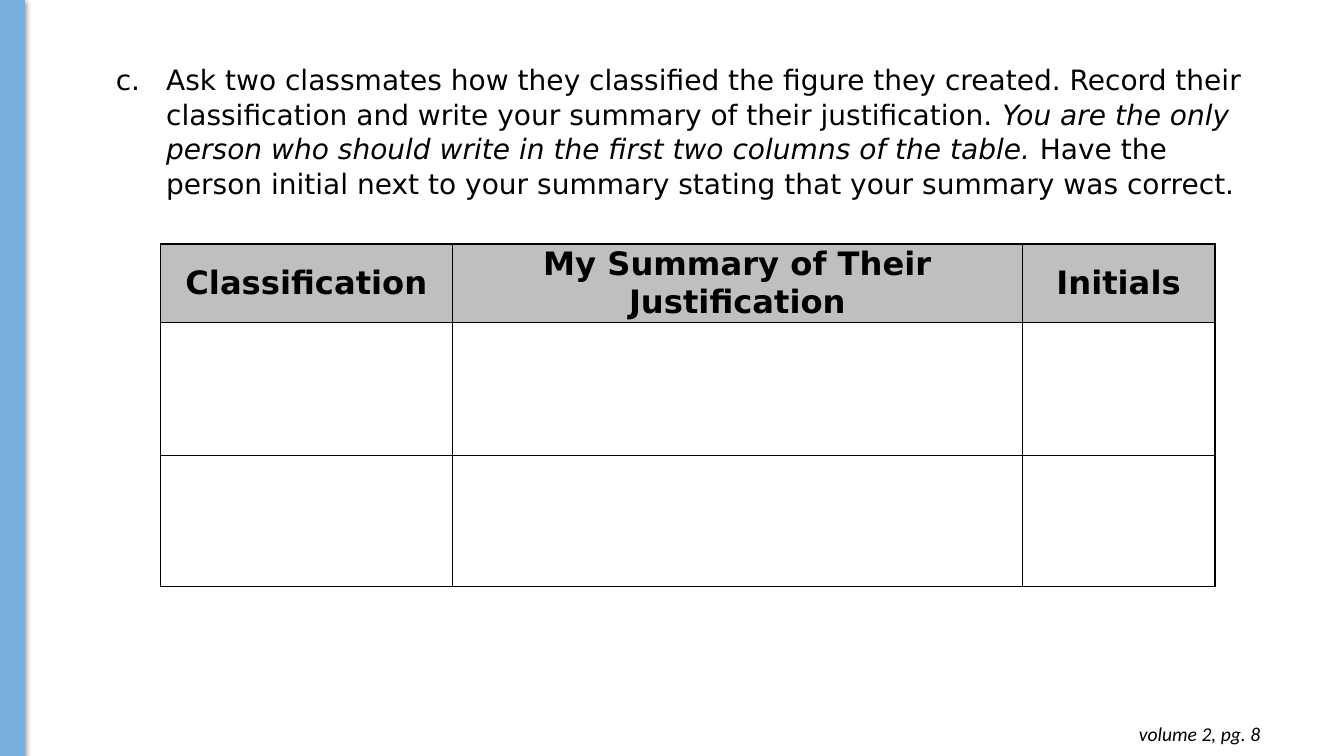
"""Build the classmate classification slide with its recording table."""
from dataclasses import dataclass

from lxml import etree
from pptx import Presentation
from pptx.dml.color import RGBColor
from pptx.enum.shapes import MSO_SHAPE
from pptx.enum.text import MSO_ANCHOR, MSO_AUTO_SIZE, PP_ALIGN
from pptx.oxml import parse_xml
from pptx.oxml.ns import nsdecls, qn
from pptx.util import Inches, Pt


@dataclass(frozen=True)
class Theme:
    blue: RGBColor = RGBColor(0x79, 0xB0, 0xDD)
    gray: RGBColor = RGBColor(0xBF, 0xBF, 0xBF)
    black: RGBColor = RGBColor(0, 0, 0)
    body_font: str = "DejaVu Sans"
    footer_font: str = "Calibri"
    body_size: Pt = Pt(20)
    header_size: Pt = Pt(23)
    footer_size: Pt = Pt(14)


theme = Theme()


def style_font(font, name, size):
    font.name = name
    font.size = size
    font.color.rgb = theme.black


def add_text_frame(slide, left, top, width, height):
    box = slide.shapes.add_textbox(Inches(left), Inches(top), Inches(width), Inches(height))
    box.text_frame.word_wrap = True
    box.text_frame.auto_size = MSO_AUTO_SIZE.SHAPE_TO_FIT_TEXT
    return box.text_frame


presentation = Presentation()
presentation.slide_width = Inches(13.33)
presentation.slide_height = Inches(7.5)
slide = presentation.slides.add_slide(presentation.slide_layouts[6])

side_bar = slide.shapes.add_shape(MSO_SHAPE.RECTANGLE, 0, 0, Inches(0.24), Inches(7.51))
side_bar.shadow.inherit = False
side_bar.fill.solid()
side_bar.fill.fore_color.rgb = theme.blue
side_bar.line.color.rgb = theme.blue
side_bar.line.width = Pt(0.75)
effects = side_bar.element.spPr.find(qn("a:effectLst"))
effects.append(parse_xml(
    f'<a:outerShdw {nsdecls("a")} blurRad="{Pt(4.5)}" dist="{Pt(1.5)}" dir="5400000" rotWithShape="0">'
    f'<a:srgbClr val="{theme.black}"><a:alpha val="50000"/></a:srgbClr></a:outerShdw>'
))

footer_frame = add_text_frame(slide, 9.72, 7.06, 2.88, 0.44)
footer_frame.margin_top = footer_frame.margin_bottom = Inches(0.1)
footer = footer_frame.paragraphs[0]
footer.text = "volume 2, pg. 8"
footer.alignment = PP_ALIGN.RIGHT
style_font(footer.font, theme.footer_font, theme.footer_size)
footer.font.italic = True

instruction = add_text_frame(slide, 1.05, 0.56, 11.56, 1.45).paragraphs[0]
properties = instruction._p.get_or_add_pPr()
properties.set("marL", str(Inches(0.5)))
properties.set("indent", str(Inches(-0.5)))
bullet_color = etree.SubElement(properties, qn("a:buClr"))
etree.SubElement(bullet_color, qn("a:srgbClr"), val=str(theme.black))
etree.SubElement(properties, qn("a:buFont"), typeface=theme.body_font)
etree.SubElement(properties, qn("a:buAutoNum"), type="alphaLcPeriod", startAt="3")
instruction.line_spacing = 1.03
style_font(instruction.font, theme.body_font, theme.body_size)
for text, italic in (
    ("Ask two classmates how they classified the figure they created. Record their "
     "classification and write your summary of their justification. ", False),
    ("You are the only person who should write in the first two columns of the table.", True),
    (" Have the person initial next to your summary stating that your summary was correct.", False),
):
    run = instruction.add_run()
    run.text = text
    run.font.italic = italic

headers = ("Classification", "My Summary of Their Justification", "Initials")
column_widths = (2.9, 5.65, 1.91)
row_heights = (0.78, 1.32, 1.3)
table = slide.shapes.add_table(
    len(row_heights), len(headers), Inches(1.59), Inches(2.42),
    Inches(sum(column_widths)), Inches(sum(row_heights)),
).table
for column, width in zip(table.columns, column_widths):
    column.width = Inches(width)
for row, height in zip(table.rows, row_heights):
    row.height = Inches(height)

for cell in table.iter_cells():
    for side in ("lnL", "lnR", "lnT", "lnB"):
        cell._tc.get_or_add_tcPr().append(parse_xml(
            f'<a:{side} {nsdecls("a")} w="{Pt(1)}"><a:solidFill>'
            f'<a:srgbClr val="{theme.black}"/></a:solidFill></a:{side}>'
        ))
    cell.fill.background()

for cell, header in zip(table.rows[0].cells, headers):
    cell.fill.solid()
    cell.fill.fore_color.rgb = theme.gray
    cell.vertical_anchor = MSO_ANCHOR.MIDDLE
    cell.margin_left = cell.margin_right = Inches(0.08)
    cell.margin_top = cell.margin_bottom = 0
    paragraph = cell.text_frame.paragraphs[0]
    paragraph.text = header
    paragraph.alignment = PP_ALIGN.CENTER
    style_font(paragraph.font, theme.body_font, theme.header_size)
    paragraph.font.bold = True

presentation.save("out.pptx")
